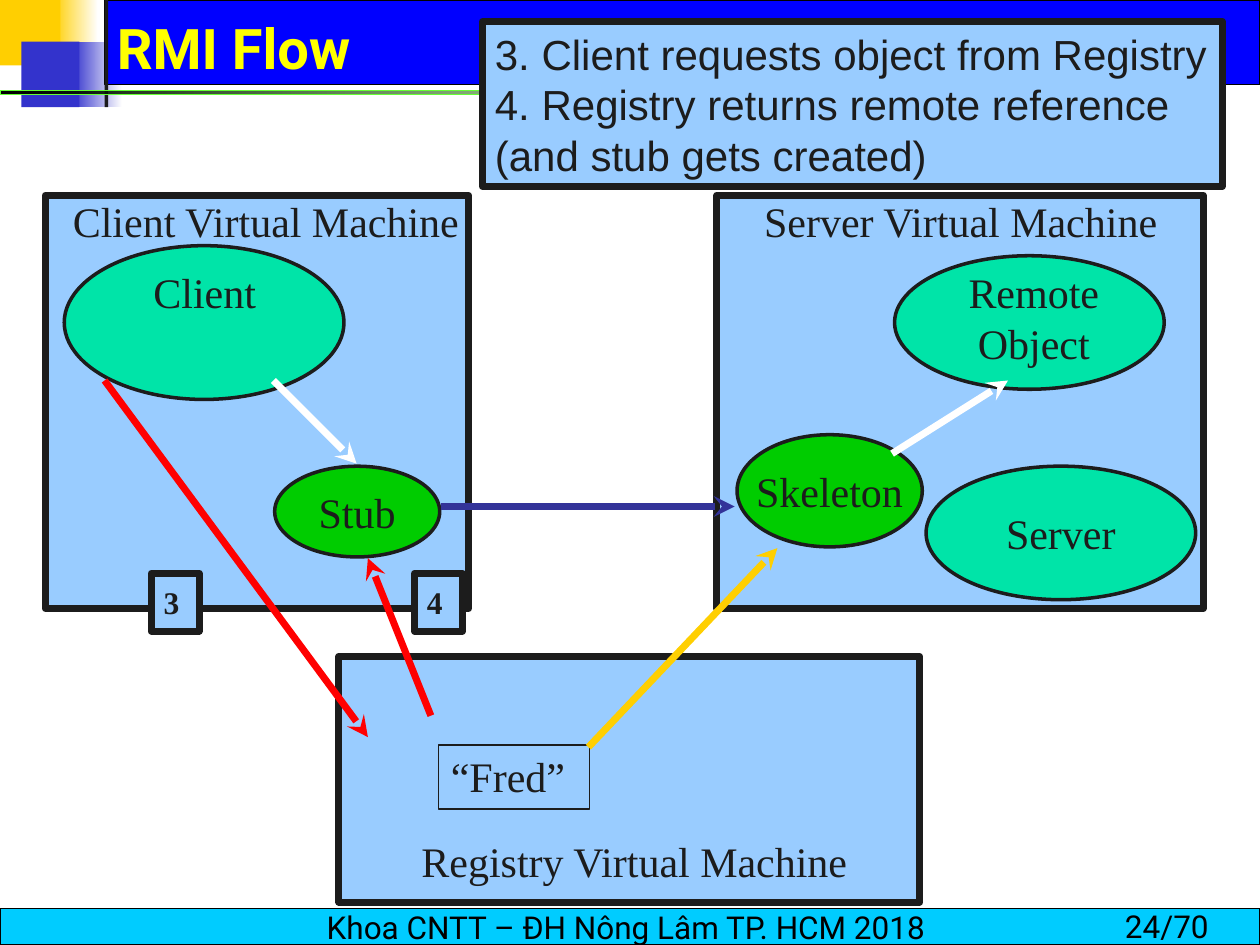
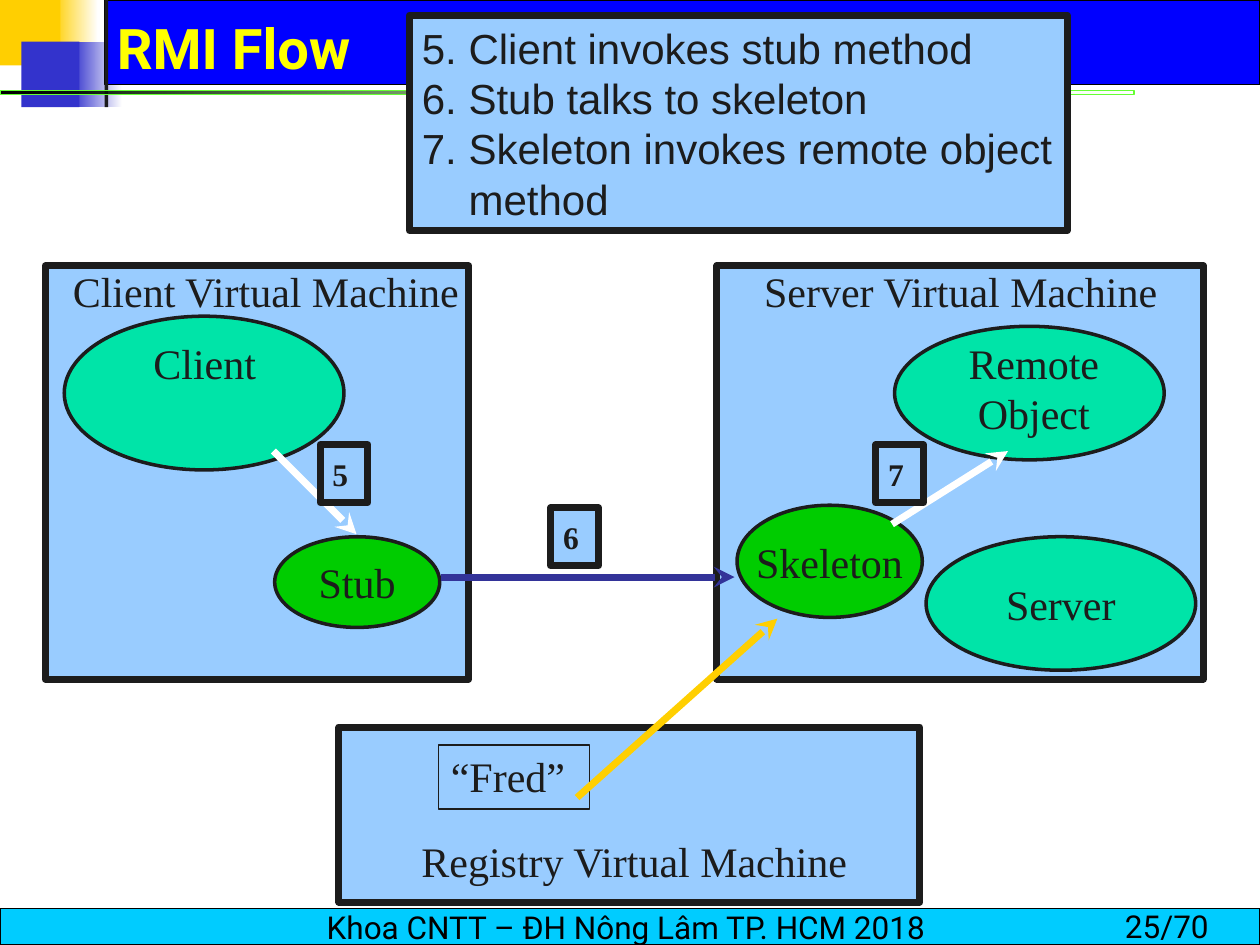
from lxml import etree
from pptx import Presentation
from pptx import util as u
from pptx.dml.color import RGBColor
from pptx.enum import shapes, text
from pptx.oxml import ns

COLS, ROWS = 100, 75
WIDTH = u.Inches(10)
CELL = WIDTH / COLS

THEME = {
    "ink": "1C1C1C", "black": "000000", "white": "FFFFFF", "yellow": "FFFF00",
    "gold": "FFCF01", "indigo": "3333CC", "blue": "0000FF", "lime": "66FF33",
    "cyan": "00CCFF", "sky": "99CCFF", "mint": "00E4A8", "green": "00CC00",
    "navy": "333399", "red": "FF0000",
    "serif": "Times New Roman", "sans": "Arial", "brand": "Roboto",
    "title": 32, "body": 24, "small": 18,
    "thick": 4, "medium": 2, "thin": 1, "hair": 0.75,
}

FOOTER = "Khoa CNTT – ĐH Nông Lâm TP. HCM 2018 "
TITLE = "RMI Flow"
PAGES = 70

BANDS = [
    ((4.2, 0, 3.6, 5.2), ("gold", "white"), None),
    ((5.7, 3.3, 4, 5.2), ("indigo", "white"), None),
    ((8.3, 0, 91.7, 6.7), "blue", ("black", "hair")),
    ((0, 0, 4.8, 5.2), "gold", None),
    ((1.7, 3.3, 4.6, 5.2), "indigo", None),
    ((8.3, 0, 0.3, 8.5), "ink", None),
]
RULE = (0, 7.2, 90, 0.3)
FOOTER_BAND = (0, 72.1, COLS, 2.9)

MACHINES = [(3.6, 0, 33.6, 32.8), (56.9, 0, 38.6, 32.8)]
NODES = [
    ((5.1, 4, 22.2, 12.2), "mint", ""),
    ((21.8, 21.5, 13.1, 7.2), "green", "Stub"),
    ((71, 4.8, 21.4, 10.6), "mint", ""),
    ((58.5, 19, 14.7, 8.9), "green", "Skeleton"),
    ((73.5, 21.5, 21.4, 10.6), "mint", "Server"),
]
LABELS = [
    ((4.8, -0.5, 32.9, 5), "Client Virtual Machine", False),
    ((57.5, -0.5, 37.5, 5), "Server Virtual Machine", True),
    ((7.5, 5.2, 17.5, 5), "Client", True),
    ((73.3, 5.2, 17.5, 9), "Remote Object", True),
]
CALLS = [
    ((21.7, 14.7), (28.3, 21.3), "white"),
    ((70.8, 20.5), (80, 14.7), "white"),
    ((35, 24.7), (58.3, 24.7), "navy"),
]
SKELETON_FOOT = (61.7, 28)
REGISTRY_DROP, REGISTRY_BOTTOM = 36.6, 71.6
REGISTRY_LABEL = (28.2, 65.8, 44.3, 5)
FRED = (34.8, 59.1, 12, 5.1)
BADGE = (3.8, 4.6)

FLOWS = [
    {
        "page": 24, "top": 15.5, "bind": (46.7, 59.3),
        "note": (38.3, 1.7, 58.7, 13.1),
        "steps": [("3. Client requests object from Registry", 0),
                  ("4. Registry returns remote reference", 0),
                  ("(and stub gets created)", 0)],
        "lookups": [((8.3, 14.7), (29.2, 43), "red"),
                    ((34.2, 41.3), (29.2, 28.8), "red")],
        "badges": [("3", 12, 30), ("4", 32.9, 30)],
    },
    {
        "page": 25, "top": 21.1, "bind": (45.8, 63.3),
        "note": (32.5, 1.2, 52.2, 17.1),
        "steps": [("5. Client invokes stub method", 0),
                  ("6. Stub talks to skeleton", 0),
                  ("7. Skeleton invokes remote object", 0),
                  ("method", 3.7)],
        "lookups": [],
        "badges": [("5", 25.4, 14.2), ("6", 43.7, 19.2), ("7", 69.5, 14.2)],
    },
]


def cells(*values):
    return [u.Emu(round(v * CELL)) for v in values]


def colour(name):
    return RGBColor.from_string(THEME[name])


def down(place, rows):
    return (place[0], place[1] + rows, *place[2:])


def write(sp, lines, size="body", font="serif", ink="ink", bold=False,
          centre=False, wrap=False, middle=True):
    tf = sp.text_frame
    anchor = text.MSO_ANCHOR.MIDDLE if middle else text.MSO_ANCHOR.TOP
    frame = {"word_wrap": wrap, "vertical_anchor": anchor}
    for name, value in frame.items():
        setattr(tf, name, value)
    for i, (line, indent) in enumerate(lines):
        p = tf.add_paragraph() if i else tf.paragraphs[0]
        p.alignment = text.PP_ALIGN.CENTER if centre else text.PP_ALIGN.LEFT
        if indent:
            p._p.get_or_add_pPr().set("marL", str(cells(indent)[0]))
        r = p.add_run()
        r.text = line
        look = {"size": u.Pt(THEME[size]), "name": THEME[font], "bold": bold}
        for name, value in look.items():
            setattr(r.font, name, value)
        r.font.color.rgb = colour(ink)


def shape(s, place, fill=None, line=None, kind="RECTANGLE"):
    sp = s.shapes.add_shape(getattr(shapes.MSO_SHAPE, kind), *cells(*place))
    sp.shadow.inherit = False
    if isinstance(fill, tuple):
        sp.fill.gradient()
        sp.fill.gradient_angle = 0
        for stop, name in zip(sp.fill.gradient_stops, fill):
            stop.color.rgb = colour(name)
    elif fill:
        sp.fill.solid()
        sp.fill.fore_color.rgb = colour(fill)
    else:
        sp.fill.background()
    if line:
        sp.line.color.rgb = colour(line[0])
        sp.line.width = u.Pt(THEME[line[1]])
    else:
        sp.line.fill.background()
    return sp


def panel(s, place):
    return shape(s, place, "sky", ("ink", "thick"))


def label(s, place, words, **look):
    look = {"middle": False, "wrap": True, **look}
    write(s.shapes.add_textbox(*cells(*place)), [(words, 0)], **look)


def arrow(s, start, end, name):
    c = s.shapes.add_connector(shapes.MSO_CONNECTOR.STRAIGHT,
                               *cells(*start, *end))
    c.line.color.rgb = colour(name)
    c.line.width = u.Pt(THEME["thick"])
    props = c.element.spPr
    etree.SubElement(props.find(ns.qn("a:ln")), ns.qn("a:tailEnd"),
                     type="stealth")
    etree.SubElement(props, ns.qn("a:effectLst"))


def draw_frame(s, page):
    for place, fill, line in BANDS:
        shape(s, place, fill, line)
    rule = shape(s, RULE, ("black", "lime"), ("lime", "hair"))
    rule.line.width = 0
    last = rule.element.spPr.findall(".//" + ns.qn("a:gs"))[-1]
    etree.SubElement(last[0], ns.qn("a:alpha"), val="0")
    band = shape(s, FOOTER_BAND, "cyan", ("black", "hair"))
    small = {"size": "small", "font": "brand", "ink": "black"}
    write(band, [(FOOTER, 0)], centre=True, **small)
    label(s, (88.3, 71.5, 11.7, 4), f"{page}/{PAGES}", **small)
    label(s, (8.3, 0.8, 89.4, 5.8), TITLE, size="title", font="brand",
          ink="yellow", bold=True, middle=True)


def draw_machines(s, top, bind):
    for place in MACHINES:
        panel(s, down(place, top))
    for place, fill, words in NODES:
        node = shape(s, down(place, top), fill, ("ink", "medium"), "OVAL")
        if words:
            write(node, [(words, 0)], centre=True)
    for place, words, centre in LABELS:
        label(s, down(place, top), words, centre=centre, wrap=centre)
    registry = top + REGISTRY_DROP
    panel(s, (26.9, registry, 46.1, REGISTRY_BOTTOM - registry))
    label(s, REGISTRY_LABEL, "Registry Virtual Machine", centre=True)
    fred = shape(s, FRED, None, ("ink", "thin"))
    write(fred, [("“Fred”", 0)], middle=False)
    arrow(s, bind, down(SKELETON_FOOT, top), "gold")


def draw_flow(s, flow):
    top = flow["top"]
    draw_frame(s, flow["page"])
    draw_machines(s, top, flow["bind"])
    for start, end, name in CALLS + flow["lookups"]:
        arrow(s, down(start, top), down(end, top), name)
    write(panel(s, flow["note"]), flow["steps"], font="sans")
    for number, x, y in flow["badges"]:
        write(panel(s, (x, y + top, *BADGE)), [(number, 0)],
              size="small", bold=True)


def main():
    prs = Presentation()
    prs.slide_width, prs.slide_height = cells(COLS, ROWS)
    for flow in FLOWS:
        draw_flow(prs.slides.add_slide(prs.slide_layouts[6]), flow)
    prs.save("out.pptx")


if __name__ == "__main__":
    main()
